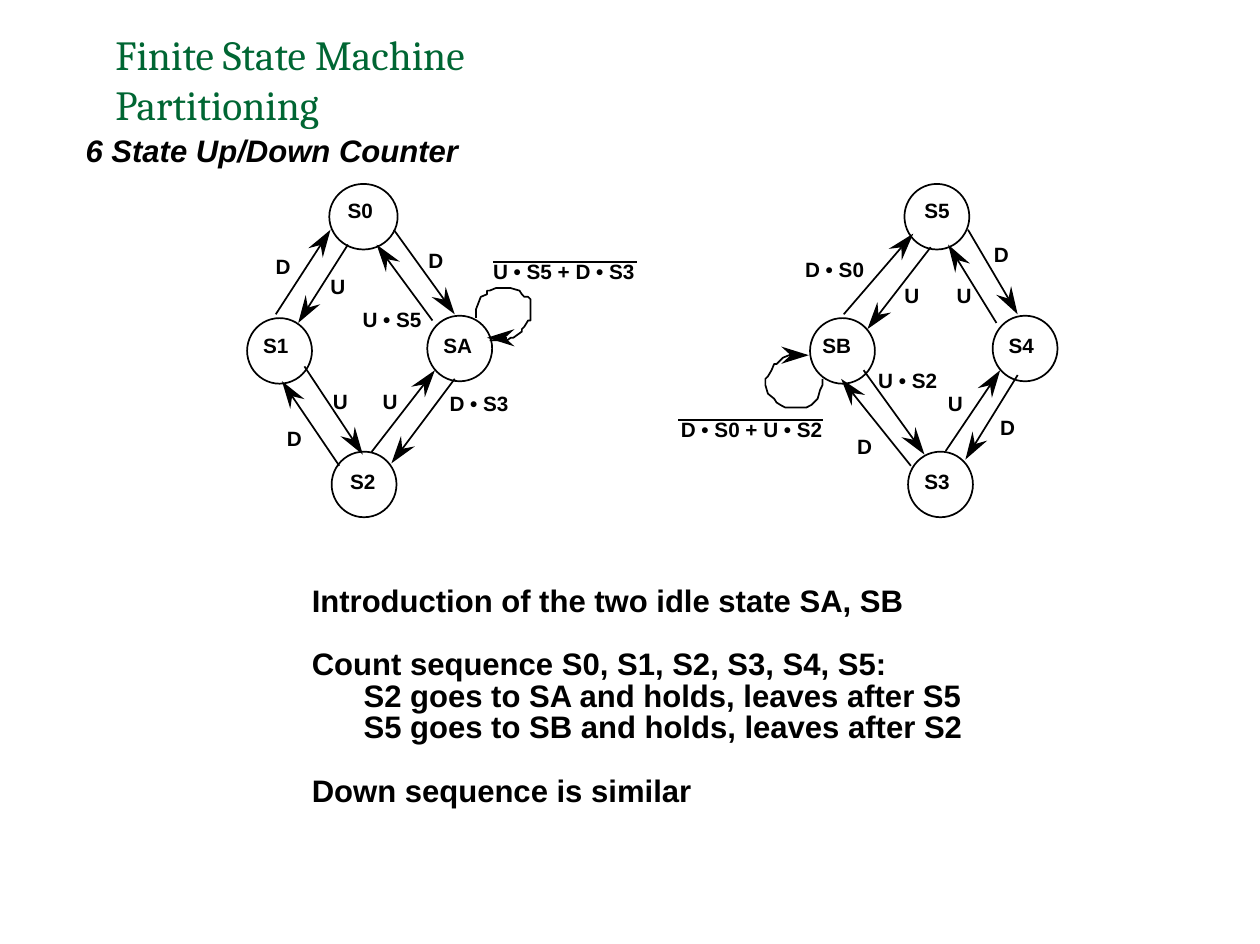
from math import hypot
from pptx import Presentation
from pptx.dml.color import RGBColor
from pptx.enum import shapes, text
from pptx.oxml import parse_xml
from pptx.oxml.ns import nsdecls
from pptx.util import Pt

COLORS = {"title": "006633", "ink": "000000"}
TITLE = "Finite State Machine Partitioning"
HEADING = "6 State Up/Down Counter"

# name: centre x, centre y, circle width, label left, label top
STATES = {
    "S0": (210.6, 125.6, 39.6, 194.4, 113),
    "S1": (162, 203.4, 37.6, 145.4, 190.8),
    "S2": (211, 280.8, 37.6, 195.8, 270),
    "SA": (266.4, 202, 37.6, 249.8, 190.8),
    "S5": (542.9, 125.6, 37.6, 528.5, 113),
    "S4": (594, 202, 37.6, 577.4, 190.8),
    "S3": (545, 280.8, 37.6, 528.5, 270),
    "SB": (488.2, 203.4, 37.6, 469.4, 190.8),
}
# tail x, tail y, tip x, tip y
ARROWS = [
    (201.6, 141.8, 172.8, 187.2), (159.8, 182.2, 191.5, 133.2),
    (176.4, 212.4, 210.2, 263.5), (196.6, 270, 163.4, 221),
    (228.2, 133.2, 263.5, 182.2), (250.6, 185.8, 218.2, 141.8),
    (263.5, 219.6, 226.8, 268.6), (215.3, 262, 252, 214.6),
    (548, 261.4, 579.6, 214.6), (577.4, 187.2, 549.4, 141.8),
    (560.9, 133.2, 589.7, 182.2), (589.7, 217.4, 559.4, 266.4),
    (488.9, 182.2, 529.2, 135.4), (539.3, 143.3, 502.6, 190.8),
    (527.8, 270, 487.4, 219.6), (500.4, 214.6, 535.7, 263.5),
    (294, 195.8, 282.2, 195.8), (457, 205.9, 468.7, 205.9),
]
LOOPS = [
    [(275.8, 184.3), (275.8, 179.3), (277.2, 175.7), (278.6, 172.1),
     (282.2, 170.6), (282.2, 168.5), (283.7, 168.5), (287.3, 167),
     (295.9, 167), (301, 168.5), (302.4, 170.6), (303.8, 172.1),
     (306, 172.1), (307.4, 173.5), (307.4, 185.8), (306, 185.8),
     (303.8, 189.4), (302.4, 190.8), (302.4, 192.2), (297.4, 195.8),
     (295.9, 195.8), (293.8, 197.3), (283.7, 197.3)],
    [(476.6, 219.6), (476.6, 223.2), (475.2, 226.1), (473.8, 231.1),
     (470.2, 234.7), (467.3, 236.2), (455, 236.2), (452.2, 234.7),
     (450, 233.3), (448.6, 231.1), (445, 228.2), (443.5, 223.2),
     (443.5, 219.6), (445, 218.2), (447.1, 214.6), (448.6, 211),
     (450, 211), (453.6, 207.4), (457.2, 205.9), (467.3, 205.9)],
]
BARS = [(285.8, 151.9, 369.4, 151.9), (393.1, 243.4, 476.6, 243.4)]
INPUTS = [
    ("D", 159.1, 244.8), ("D", 152.6, 145.4), ("U", 184.3, 157),
    ("U", 185.8, 223.2), ("D", 241.2, 141.8), ("U", 214.6, 223.2),
    ("D • S3", 253.4, 224.6), ("U • S5", 203, 175.7),
    ("U • S5 + D • S3", 278.6, 148.3),
    ("D", 568.8, 138.2), ("D", 572.4, 238.3), ("U", 542.2, 224.6),
    ("U", 547.2, 162), ("U", 517, 162), ("D", 489.6, 249.8),
    ("D • S0", 459.4, 146.9), ("U • S2", 501.8, 211),
    ("D • S0 + U • S2", 387.4, 239.8),
]
WIDTHS = {1: 23.5, 2: 30, 6: 49.7, 15: 98}  # label width by text length
# text, indent, gap above
NOTES = [
    ("Introduction of the two idle state SA, SB", 0, 0),
    ("Count sequence S0, S1, S2, S3, S4, S5:", 0, 18.3),
    ("S2 goes to SA and holds, leaves after S5", 30, 0),
    ("S5 goes to SB and holds, leaves after S2", 30, 0),
    ("Down sequence is similar", 0, 18.3),
]
HEAD, NOTCH, WING = 16, 10.5, 5  # arrowhead length, notch depth, half width


def tint(name):
    """Return a palette colour."""
    return RGBColor.from_string(COLORS[name])


def style(run, size, face="Arial", color="ink", bold=True, slant=False):
    """Format one run."""
    font = run.font
    font.size, font.name, font.bold, font.italic = Pt(size), face, bold, slant
    font.color.rgb = tint(color)


def frame(box, pad, wrap=False):
    """Set insets, wrapping and anchor of a text frame."""
    body = box.text_frame
    body.margin_left = body.margin_right = Pt(pad)
    body.margin_top = body.margin_bottom = Pt(pad / 2)
    body.word_wrap = wrap
    body.auto_size = text.MSO_AUTO_SIZE.NONE
    body.vertical_anchor = text.MSO_ANCHOR.TOP
    return body


def write(x, y, w, h, rows, size, pad, space, slant=False):
    """Add a text box of (text, indent, gap) rows."""
    body = frame(slide.shapes.add_textbox(Pt(x), Pt(y), Pt(w), Pt(h)), pad)
    for i, (words, indent, gap) in enumerate(rows):
        para = body.add_paragraph() if i else body.paragraphs[0]
        para.text = words
        para.line_spacing = space
        para.space_before = Pt(gap)
        if indent:
            para._p.get_or_add_pPr().set("marL", str(Pt(indent)))
        style(para.runs[0], size, slant=slant)


def label(words, x, y):
    """Add a small diagram label."""
    write(x, y, WIDTHS[len(words)], 20.2, [(words, 0, 0)], 12, 7.2, 0.9)


def line(x1, y1, x2, y2):
    """Draw a thin straight line."""
    link = slide.shapes.add_connector(
        shapes.MSO_CONNECTOR.STRAIGHT, Pt(x1), Pt(y1), Pt(x2), Pt(y2))
    link.line.width = Pt(1)
    link.line.color.rgb = tint("ink")
    link._element.spPr.append(parse_xml(f"<a:effectLst {nsdecls('a')}/>"))


def outline(shape):
    """Give a shape a thin line and no fill."""
    shape.shadow.inherit = False
    shape.fill.background()
    shape.line.width = Pt(1)
    shape.line.color.rgb = tint("ink")


def trace(points, close):
    """Build a freeform through the points."""
    spots = [(Pt(x), Pt(y)) for x, y in points]
    pen = slide.shapes.build_freeform(*spots[0])
    pen.add_line_segments(spots[1:], close=close)
    return pen.convert_to_shape()


def arrow(x1, y1, x2, y2):
    """Draw a line that ends in a notched arrowhead."""
    span = hypot(x2 - x1, y2 - y1)
    dx, dy = (x2 - x1) / span, (y2 - y1) / span

    def back(far, side):
        """Return a point behind the tip, shifted sideways."""
        return x2 - far * dx - side * dy, y2 - far * dy + side * dx

    notch = back(NOTCH, 0)
    line(x1, y1, *notch)
    head = trace([(x2, y2), back(HEAD, WING), notch, back(HEAD, -WING)], True)
    head.shadow.inherit = False
    head.fill.solid()
    head.fill.fore_color.rgb = tint("ink")
    head.line.fill.background()


deck = Presentation()
deck.slide_width, deck.slide_height = Pt(730.08), Pt(547.2)
slide = deck.slides.add_slide(deck.slide_layouts[5])

title = slide.shapes.title
title.left, title.top, title.width, title.height = (
    Pt(v) for v in (61.9, 14.4, 316, 32.4))
top = frame(title, 5, True)
top.text = TITLE
top.paragraphs[0].alignment = text.PP_ALIGN.LEFT
style(top.paragraphs[0].runs[0], 24, "Cambria", "title", False)

write(44.6, 77, 226, 22.3, [(HEADING, 0, 0)], 18, 5, 0.85, True)
for name, (x, y, w, left, high) in STATES.items():
    outline(slide.shapes.add_shape(
        shapes.MSO_SHAPE.OVAL, Pt(x - w / 2), Pt(y - 19), Pt(w), Pt(38)))
    label(name, left, high)
for ends in ARROWS:
    arrow(*ends)
for points in LOOPS:
    outline(trace(points, False))
for ends in BARS:
    line(*ends)
for item in INPUTS:
    label(*item)
write(175.7, 337.7, 392.4, 134, NOTES, 18, 5, 0.85)

deck.save("out.pptx")
